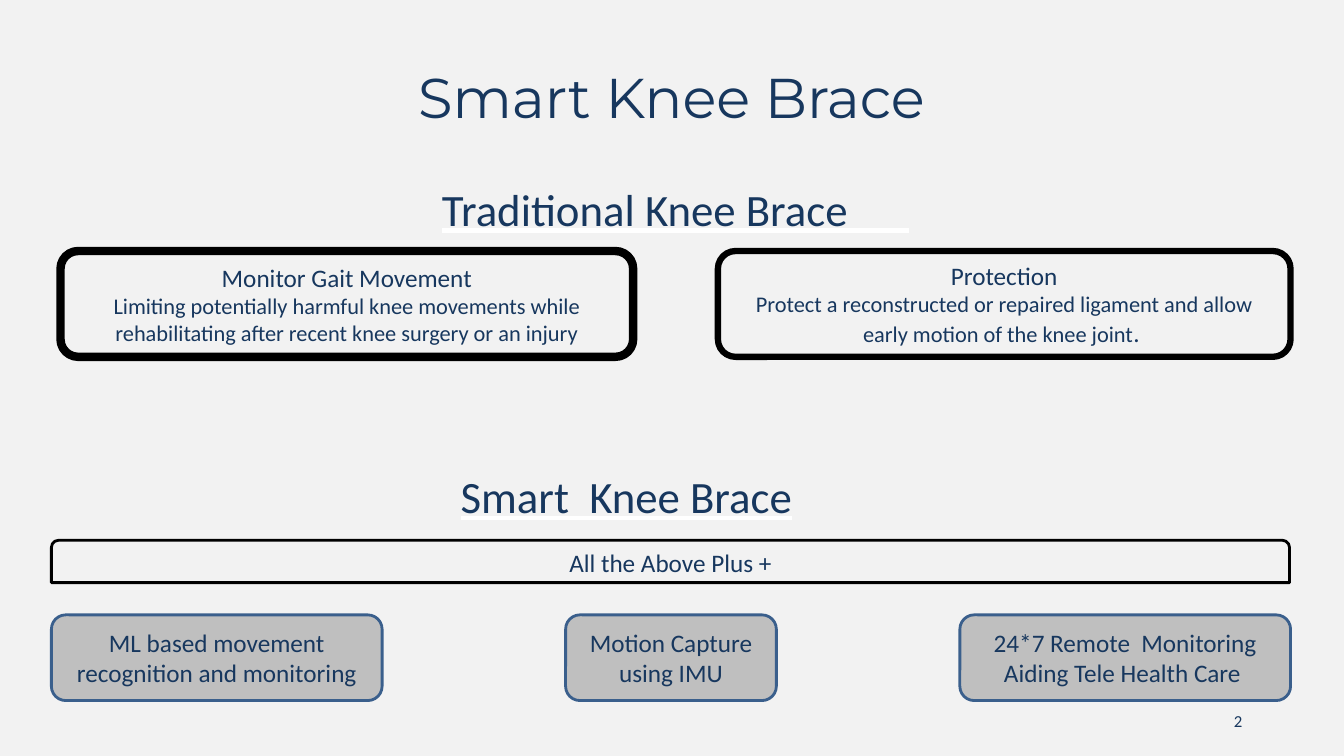
"""Build the Smart Knee Brace comparison slide."""
from dataclasses import dataclass

from lxml.etree import SubElement
from pptx import Presentation
from pptx.dml.color import RGBColor
from pptx.enum.shapes import MSO_SHAPE as Preset
from pptx.enum.text import MSO_ANCHOR as Anchor, MSO_AUTO_SIZE as AutoSize, PP_ALIGN as Align
from pptx.oxml.ns import qn
from pptx.util import Inches, Pt

NAVY, STEEL, SILVER = "17375E", "3A5F8C", "BFBFBF"
BLACK, WHITE, PALE = "000000", "FFFFFF", "F2F2F2"
CORNER = 0.167


@dataclass
class Words:
    text: str
    size: float = 18
    font: str = "Calibri"
    underlined: bool = False


@dataclass
class Box:
    left: float
    top: float
    width: float
    height: float


@dataclass
class Card:
    box: Box
    lines: list[list[Words]]
    outline: str = BLACK
    weight: float = 2
    fill: str | None = None
    preset: Preset = Preset.ROUNDED_RECTANGLE


def color(hex_code: str) -> RGBColor:
    return RGBColor.from_string(hex_code)


def inches(box: Box) -> list[int]:
    return [Inches(n) for n in (box.left, box.top, box.width, box.height)]


def underline_white(run) -> None:
    run.font.underline = True
    underline_fill = SubElement(run.font._element, qn("a:uFill"))
    solid = SubElement(underline_fill, qn("a:solidFill"))
    SubElement(solid, qn("a:srgbClr")).set("val", WHITE)
    latin = run.font._element.find(qn("a:latin"))
    latin.addprevious(underline_fill)


def write(frame, lines: list[list[Words]], align: Align = Align.CENTER,
          anchor: Anchor = Anchor.MIDDLE, wrap: bool = True) -> None:
    frame.auto_size = AutoSize.NONE
    frame.word_wrap = wrap
    frame.vertical_anchor = anchor
    for number, line in enumerate(lines):
        paragraph = frame.add_paragraph() if number else frame.paragraphs[0]
        paragraph.alignment = align
        for words in line:
            run = paragraph.add_run()
            run.text = words.text
            run.font.size = Pt(words.size)
            run.font.name = words.font
            run.font.color.rgb = color(NAVY)
            if words.underlined:
                underline_white(run)


def add_label(slide, box: Box, words: Words, align: Align = Align.CENTER,
              anchor: Anchor = Anchor.MIDDLE, wrap: bool = True) -> None:
    label = slide.shapes.add_textbox(*inches(box))
    write(label.text_frame, [[words]], align, anchor, wrap)


def add_card(slide, card: Card) -> None:
    shape = slide.shapes.add_shape(card.preset, *inches(card.box))
    shape.shadow.inherit = False
    shape.adjustments[0] = CORNER
    if card.fill:
        shape.fill.solid()
        shape.fill.fore_color.rgb = color(card.fill)
    else:
        shape.fill.background()
    shape.line.color.rgb = color(card.outline)
    shape.line.width = Pt(card.weight)
    write(shape.text_frame, card.lines)


def feature(left: float, width: float, text: str) -> Card:
    return Card(Box(left, 6.1, width, 0.85), [[Words(text)]], STEEL, fill=SILVER)


def benefit(left: float, weight: float, heading: str, *detail: Words) -> Card:
    return Card(Box(left, 2.49, 5.68, 1.05), [[Words(heading)], list(detail)], weight=weight)


CARDS = [
    Card(Box(0.51, 5.36, 12.28, 0.42), [[Words("All the Above Plus +")]],
         preset=Preset.ROUND_2_SAME_RECTANGLE),
    feature(0.51, 3.28, "ML based movement recognition and monitoring"),
    feature(5.61, 2.09, "Motion Capture using IMU"),
    feature(9.52, 3.28, "24*7 Remote  Monitoring Aiding Tele Health Care "),
    benefit(0.6, 6, "Monitor Gait Movement",
            Words("Limiting potentially harmful knee movements while "
                  "rehabilitating after recent knee surgery or an injury", 16)),
    benefit(7.12, 4.5, "Protection",
            Words("Protect a reconstructed or repaired ligament and allow "
                  "early motion of the knee joint", 16),
            Words(". ")),
]


def main() -> None:
    deck = Presentation()
    deck.slide_width, deck.slide_height = Inches(13.33), Inches(7.5)
    slide = deck.slides.add_slide(deck.slide_layouts[5])
    slide.background.fill.solid()
    slide.background.fill.fore_color.rgb = color(PALE)

    title = slide.shapes.title
    title.left, title.top, title.width, title.height = inches(Box(0.91, 0.23, 11.5, 1.45))
    write(title.text_frame, [[Words("Smart Knee Brace", 40, "Montserrat")]])

    add_label(slide, Box(9.42, 6.95, 3, 0.4), Words("2", 12), Align.RIGHT)
    add_label(slide, Box(0.95, 1.34, 11.5, 1.45),
              Words("Traditional Knee Brace      ", 32, underlined=True))
    add_label(slide, Box(4.47, 4.6, 4.37, 0.63),
              Words("Smart  Knee Brace", 32, underlined=True),
              Align.LEFT, Anchor.TOP, wrap=False)
    for card in CARDS:
        add_card(slide, card)
    deck.save("out.pptx")


if __name__ == "__main__":
    main()
